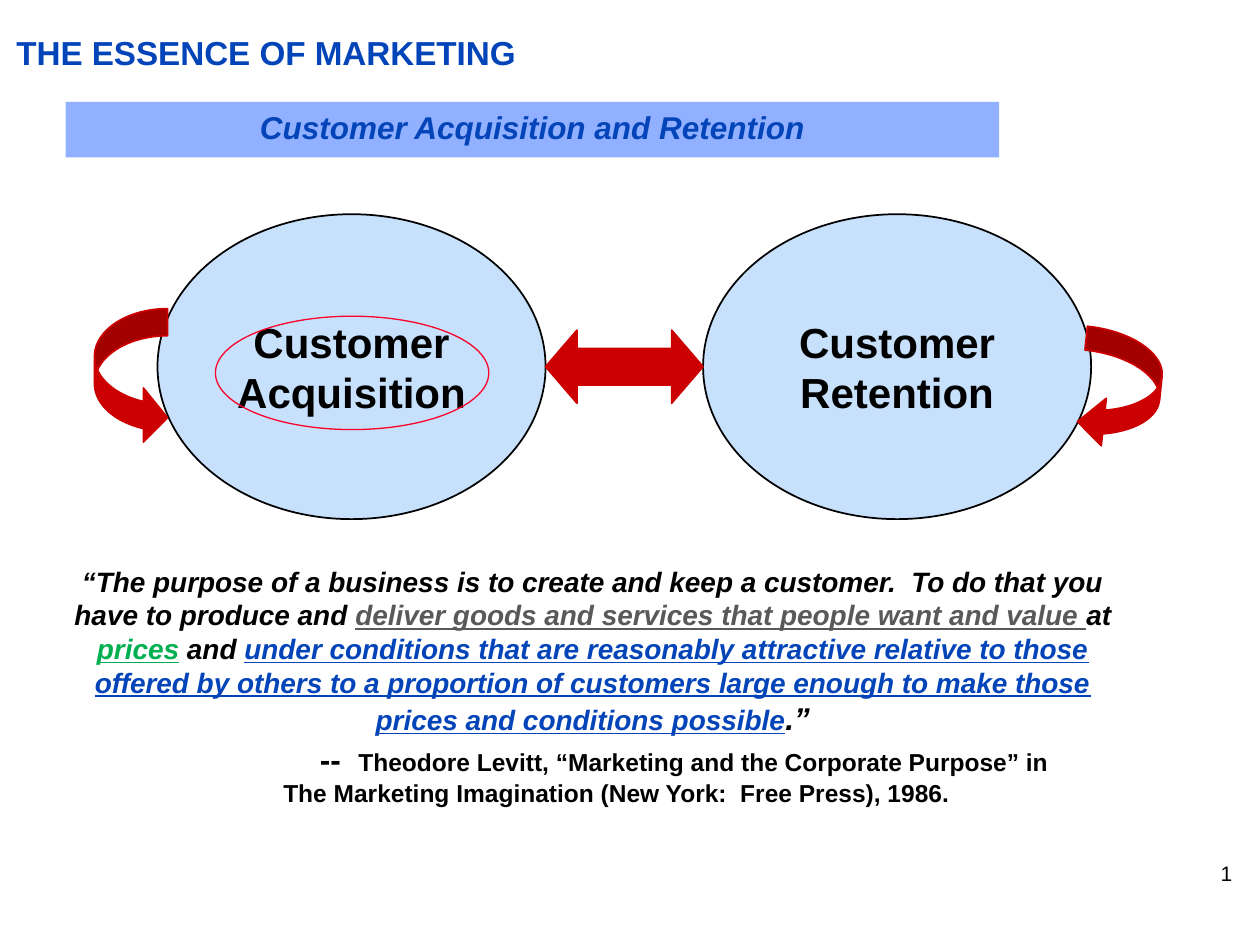
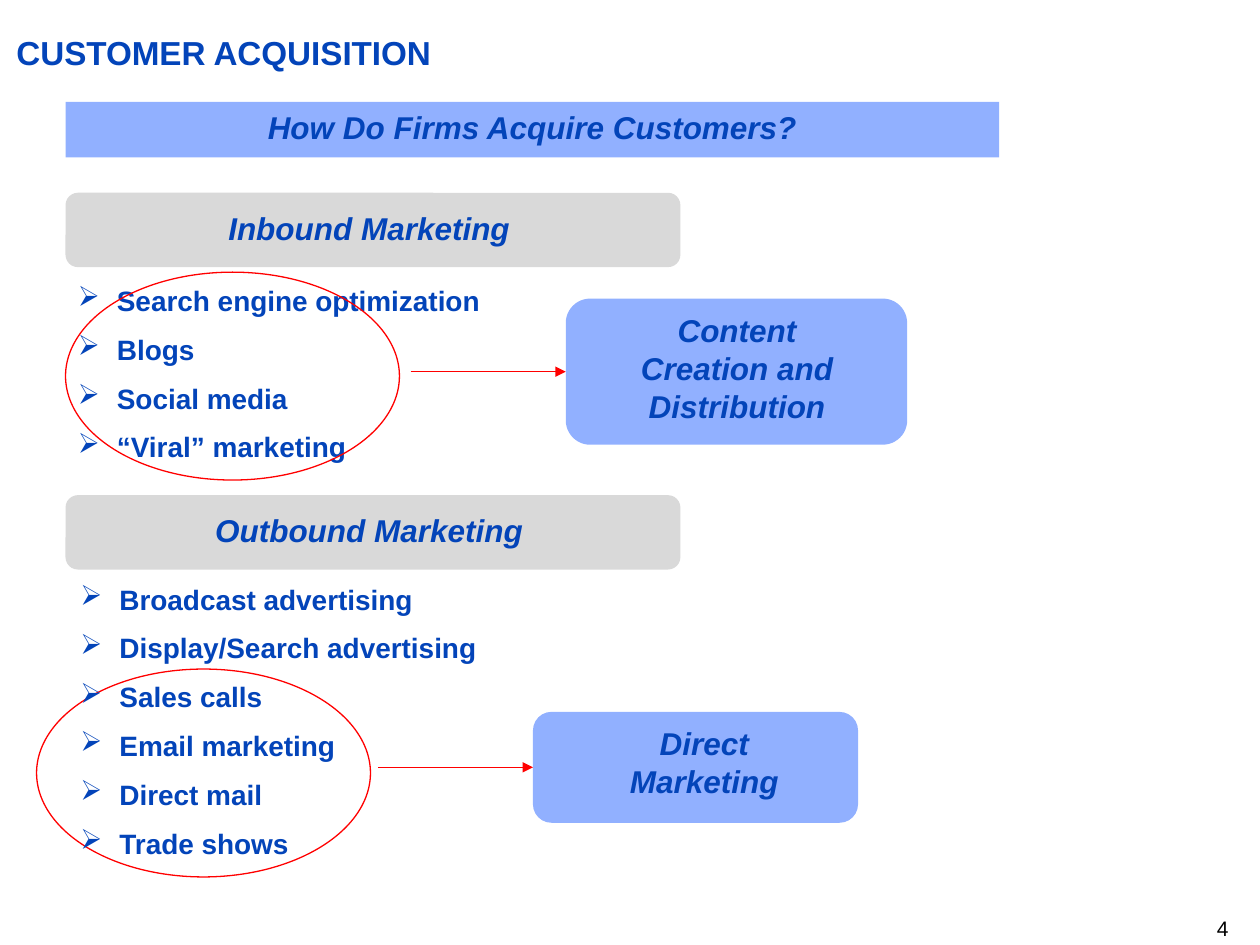
"""Build two slides on gaining and keeping customers."""
import pptx
import pptx.util
import pptx.dml.color
import pptx.enum.shapes
import pptx.enum.text
import pptx.oxml.ns
from lxml import etree

SHAPE = pptx.enum.shapes.MSO_SHAPE
ALIGN = pptx.enum.text.PP_ALIGN
BLUE, BAND, SKY, GREY = "0344B9", "91B0FF", "C7E0FB", "D9D9D9"
RED, ROSE, CRIMSON, BLACK = "FF0000", "FB012B", "CC0000", "000000"
STYLES = {
    "title": {"size": 19, "bold": True, "color": BLUE},
    "head": {"size": 18, "bold": True, "italic": True, "color": BLUE},
    "item": {"size": 16, "bold": True, "color": BLUE},
    "node": {"size": 24, "bold": True, "color": BLACK},
    "page": {"size": 12, "color": BLACK},
    "quote": {"size": 16, "bold": True, "italic": True, "color": BLACK},
    "end": {"size": 18, "bold": True, "italic": True, "color": BLACK},
    "dash": {"size": 18, "bold": True, "color": BLACK},
    "cite": {"size": 14, "bold": True, "color": BLACK},
}
for name, color in {"goods": "595959", "price": "00B050", "terms": BLUE}.items():
    STYLES[name] = {**STYLES["quote"], "color": color, "underline": True}


def px(count):
    """Turn px, 100 to the inch, into EMU."""
    return pptx.util.Emu(count * 9144)


def rgb(code):
    """Turn a hex string into a colour."""
    return pptx.dml.color.RGBColor.from_string(code)


def tag(parent, name, **attrs):
    """Add a drawing element to a parent."""
    return etree.SubElement(parent, pptx.oxml.ns.qn(name), attrs)


class Deck:
    """Hold the style and the current slide."""

    def __init__(self):
        """Start an empty deck."""
        self.show = pptx.Presentation()
        self.show.slide_width, self.show.slide_height = px(1000), px(750)

    def page(self, title, band, number, spot):
        """Start a slide with its title, band and number."""
        self.slide = self.show.slides.add_slide(self.show.slide_layouts[6])
        self.text((13, 26, 962, 32), "title", title, align=ALIGN.LEFT, inset=0)
        strip = self.shape(SHAPE.RECTANGLE, (52, 81, 741, 44), BAND)
        self.put(strip.text_frame, "head", [band])
        strip.text_frame.vertical_anchor = pptx.enum.text.MSO_ANCHOR.TOP
        self.text(spot, "page", number, align=ALIGN.RIGHT, inset=0)

    def font(self, font, style):
        """Give a font the values of a style."""
        values = {"name": "Arial", **STYLES[style]}
        font.color.rgb = rgb(values.pop("color"))
        values["size"] = pptx.util.Pt(values["size"])
        for key, value in values.items():
            setattr(font, key, value)

    def run(self, para, text, style):
        """Add a run to a paragraph."""
        run = para.add_run()
        run.text = text
        self.font(run.font, style)

    def put(self, frame, style, lines, align=ALIGN.CENTER):
        """Fill a frame with one paragraph a line."""
        for index, line in enumerate(lines):
            para = frame.add_paragraph() if index else frame.paragraphs[0]
            para.alignment = align
            self.run(para, line, style)
        return frame

    def text(self, area, style, *lines, align=ALIGN.CENTER, inset=None):
        """Add a text box."""
        frame = self.slide.shapes.add_textbox(*map(px, area)).text_frame
        frame.word_wrap = True
        if inset is not None:
            for side in ("left", "top", "right", "bottom"):
                setattr(frame, "margin_" + side, px(inset))
        return self.put(frame, style, lines, align)

    def bullets(self, area, *items):
        """Add a list with arrow bullets."""
        frame = self.text(area, "item", *items, align=ALIGN.LEFT)
        for index, para in enumerate(frame.paragraphs):
            self.indent(para, 31, -31)
            tag(para._p.get_or_add_pPr(), "a:buChar", char="➢")
            if index:
                para.space_before = pptx.util.Pt(8.7)

    def indent(self, para, left, first):
        """Set the left margin and first line of a paragraph."""
        props = para._p.get_or_add_pPr()
        for key, value in {"marL": left, "indent": first}.items():
            props.set(key, str(px(value)))

    def shape(self, kind, area, fill=None, line=None, width=1, adjust=()):
        """Add a preset shape."""
        shape = self.slide.shapes.add_shape(kind, *map(px, area))
        shape.shadow.inherit = False
        for part, color in ((shape.fill, fill), (shape.line.fill, line)):
            if color:
                part.solid()
                part.fore_color.rgb = rgb(color)
            else:
                part.background()
        if line:
            shape.line.width = pptx.util.Pt(width)
        for index, value in enumerate(adjust):
            shape.adjustments[index] = value
        return shape

    def node(self, left, *lines):
        """Add a large labelled ellipse."""
        shape = self.shape(SHAPE.OVAL, (left, 170, 308, 242), SKY, BLACK)
        shape.text_frame.word_wrap = False
        self.put(shape.text_frame, "node", lines)

    def ring(self, area, color=RED):
        """Circle something with a thin line."""
        self.shape(SHAPE.OVAL, area, line=color, width=0.75)

    def arrow(self, start, box):
        """Run a level arrow to the left side of a box."""
        level = box.top + box.height // 2
        line = self.slide.shapes.add_connector(
            pptx.enum.shapes.MSO_CONNECTOR.STRAIGHT, px(start), level, box.left, level)
        line.end_connect(box, 1)
        line.line.color.rgb = rgb(RED)
        line.line.width = pptx.util.Pt(0.75)
        props = line._element.spPr
        tag(props.find(pptx.oxml.ns.qn("a:ln")), "a:tailEnd", type="triangle")
        tag(props, "a:effectLst")

    def group(self, top, name):
        """Add a grey heading for a group."""
        self.shape(SHAPE.ROUNDED_RECTANGLE, (52, top, 488, 59), GREY)
        self.text((111, top + 8, 364, 40), "head", name)

    def result(self, start, area, name):
        """Add a result box with an arrow into it."""
        box = self.shape(SHAPE.ROUNDED_RECTANGLE, area, BAND)
        self.arrow(start, box)
        left, top, _, height = area
        self.text((left + 34, top + 5, 204, height - 15), "head", name)

    def quote(self, area, parts, source):
        """Add a styled quotation and its source."""
        frame = self.text(area, *parts[0])
        first = frame.paragraphs[0]
        for style, text in parts[1:]:
            self.run(first, text, style)
        para = frame.add_paragraph()
        para.space_before = pptx.util.Pt(2)
        self.indent(para, 178, 29)
        self.run(para, "--  ", "dash")
        self.run(para, source[0], "cite")
        para.add_line_break()
        self.run(para, source[1], "cite")


def essence(deck):
    """Draw the slide on the essence of marketing."""
    deck.page("THE ESSENCE OF MARKETING", "Customer Acquisition and Retention",
              "1", (770, 683, 208, 50))
    deck.node(125, "Customer", "Acquisition")
    deck.node(558, "Customer", "Retention")
    deck.quote((37, 443, 867, 205), [
        ("quote", "“The purpose of a business is to create and keep a customer.  "
                  "To do that you have to produce and "),
        ("goods", "deliver goods and services that people want and value "),
        ("quote", "at "),
        ("price", "prices"),
        ("quote", " and "),
        ("terms", "under conditions that are reasonably attractive relative to those "
                  "offered by others to a proportion of customers large enough to make "
                  "those prices and conditions possible"),
        ("end", ".”"),
    ], ("Theodore Levitt, “Marketing and the Corporate Purpose” in",
        "The Marketing Imagination (New York:  Free Press), 1986."))
    deck.shape(SHAPE.LEFT_RIGHT_ARROW, (433, 262, 125, 58), CRIMSON, CRIMSON,
               adjust=(0.5, 0.43))
    deck.shape(SHAPE.CURVED_RIGHT_ARROW, (75, 245, 58, 108), CRIMSON, CRIMSON,
               adjust=(0.37, 0.74, 0.33))
    back = deck.shape(SHAPE.CURVED_RIGHT_ARROW, (858, 262, 63, 95), CRIMSON, CRIMSON,
                      adjust=(0.3, 0.6, 0.33))
    back.rotation = 6
    back._element.spPr.xfrm.set("flipH", "1")
    deck.ring((171, 251, 217, 90), ROSE)


def gain(deck):
    """Draw the slide on customer acquisition."""
    deck.page("CUSTOMER ACQUISITION", "How Do Firms Acquire Customers?",
              "4", (767, 727, 208, 20))
    deck.group(153, "Inbound Marketing")
    deck.bullets((52, 220, 500, 158), "Search engine optimization", "Blogs",
                 "Social media", "“Viral” marketing")
    deck.ring((52, 216, 265, 165))
    deck.result(326, (449, 237, 271, 116), "Content Creation and Distribution")
    deck.group(393, "Outbound Marketing")
    deck.ring((29, 531, 265, 165))
    deck.result(300, (423, 565, 258, 88), "Direct Marketing")
    deck.bullets((54, 457, 500, 239), "Broadcast advertising",
                 "Display/Search advertising", "Sales calls", "Email marketing",
                 "Direct mail", "Trade shows")


def main():
    """Build and save the deck."""
    deck = Deck()
    essence(deck)
    gain(deck)
    deck.show.save("out.pptx")


if __name__ == "__main__":
    main()
